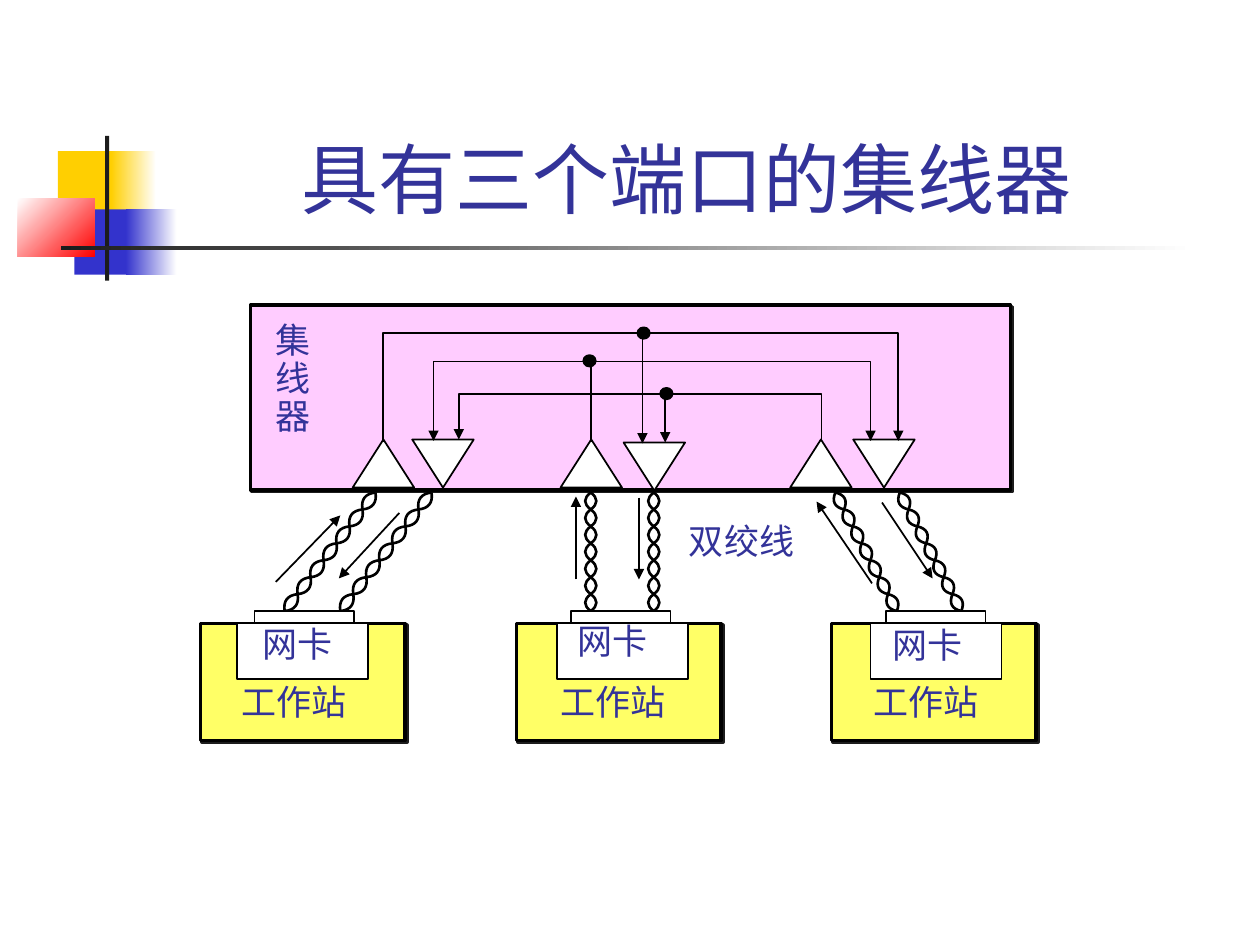
from math import hypot

from lxml.etree import SubElement
from pptx import Presentation
from pptx.dml.color import RGBColor
from pptx.enum.shapes import MSO_CONNECTOR, MSO_SHAPE
from pptx.enum.text import MSO_ANCHOR, MSO_AUTO_SIZE, PP_ALIGN
from pptx.oxml.ns import qn
from pptx.util import Cm, Pt

BLACK = RGBColor(0x00, 0x00, 0x00)
WHITE = RGBColor(0xFF, 0xFF, 0xFF)
DARK = RGBColor(0x1C, 0x1C, 0x1C)
GOLD = RGBColor(0xFF, 0xCF, 0x01)
BLUE = RGBColor(0x33, 0x33, 0xCC)
RED = RGBColor(0xFF, 0x00, 0x00)
NAVY = RGBColor(0x33, 0x33, 0x99)
PINK = RGBColor(0xFF, 0xCC, 0xFF)
YELLOW = RGBColor(0xFF, 0xFF, 0x66)

prs = Presentation()
prs.slide_width, prs.slide_height = Cm(25.4), Cm(19.05)
s = prs.slides.add_slide(prs.slide_layouts[5])


def add_shape(kind, x, y, w, h, fill, line=1, shadow=False):
    sp = s.shapes.add_shape(kind, Cm(x), Cm(y), Cm(w), Cm(h))
    sp.shadow.inherit = False
    sp.fill.solid()
    sp.fill.fore_color.rgb = fill
    if line:
        sp.line.color.rgb = BLACK
        sp.line.width = Pt(line)
    else:
        sp.line.fill.background()
    if shadow:
        effects = sp._element.spPr.find(qn("a:effectLst"))
        outer = SubElement(effects, qn("a:outerShdw"), blurRad="0", dist="17780",
                           dir="2700000", algn="ctr", rotWithShape="0")
        SubElement(outer, qn("a:srgbClr"), val=str(DARK))
    return sp


def add_label(text, x, y, w, h=1.09):
    tf = s.shapes.add_textbox(Cm(x), Cm(y), Cm(w), Cm(h)).text_frame
    tf.word_wrap = False
    tf.text = text
    for p in tf.paragraphs:
        for r in p.runs:
            r.font.size = Pt(20)
            r.font.name = "Times New Roman"
            r.font.color.rgb = NAVY
    return tf


for x, y, w, h, start, end, angle in [
    (1.17, 3.05, 1.22, 1.32, GOLD, None, 0),
    (2.24, 3.05, 0.91, 1.32, GOLD, WHITE, 0),
    (1.5, 4.22, 1.17, 1.32, BLUE, None, 0),
    (2.54, 4.22, 1.02, 1.32, BLUE, WHITE, 0),
    (0.36, 4.01, 1.55, 1.17, WHITE, RED, 315),
    (2.12, 2.74, 0.08, 2.92, DARK, None, 0),
    (1.23, 4.96, 22.86, 0.09, DARK, WHITE, 0),
]:
    sp = add_shape(MSO_SHAPE.RECTANGLE, x, y, w, h, start, line=0)
    if end is not None:
        sp.fill.gradient()
        sp.fill.gradient_angle = angle
        for stop, color in zip(sp.fill.gradient_stops, (start, end)):
            stop.color.rgb = color

title = s.shapes.title
title.left, title.top, title.width, title.height = Cm(3.2), Cm(0.58), Cm(21.64), Cm(4.06)
tf = title.text_frame
tf.text = "具有三个端口的集线器 "
tf.auto_size = MSO_AUTO_SIZE.NONE
tf.vertical_anchor = MSO_ANCHOR.BOTTOM
p = tf.paragraphs[0]
p.alignment = PP_ALIGN.CENTER
r = p.runs[0]
r.font.size = Pt(44)
r.font.name = "Arial"
r.font.color.rgb = NAVY

add_shape(MSO_SHAPE.RECTANGLE, 5.05, 6.15, 15.32, 3.73, PINK, 2, shadow=True)
for p in add_label("集\n线\n器", 5.31, 6.4, 1.22, 2.54).paragraphs:
    p.line_spacing = 0.9

for x, y, rotation in [
    (7.11, 8.86, 0), (11.3, 8.86, 0), (15.93, 8.86, 0),
    (8.31, 8.86, 180), (12.57, 8.92, 180), (17.2, 8.86, 180),
]:
    add_shape(MSO_SHAPE.ISOSCELES_TRIANGLE, x, y, 1.24, 0.97, WHITE).rotation = rotation

wires = [
    ([(16.56, 8.86), (16.56, 7.95), (9.25, 7.95), (9.25, 8.86)], False),
    ([(11.91, 8.92), (11.91, 7.29), (17.55, 7.29), (17.55, 8.89)], False),
    ([(11.91, 7.29), (8.74, 7.29), (8.74, 8.89)], False),
    ([(7.72, 8.92), (7.72, 6.71), (18.11, 6.71), (18.11, 8.89)], False),
]
TOP, BOTTOM, BULGE, HALF_TURNS = 9.93, 12.32, 0.15, 7
for x_bottom, x_top in [(5.74, 7.57), (6.86, 8.7), (11.91, 11.91),
                        (13.18, 13.18), (18.08, 16.84), (19.38, 18.14)]:
    dx, dy = x_top - x_bottom, TOP - BOTTOM
    length = hypot(dx, dy)
    for side in (BULGE, -BULGE):
        strand = []
        for i in range(3 * HALF_TURNS + 1):
            t = i / (3 * HALF_TURNS)
            offset = side * (-1) ** (i // 3) if i % 3 else 0
            strand.append((x_bottom + dx * t + offset * dy / length,
                           BOTTOM + dy * t - offset * dx / length))
        wires.append((strand, True))

for points, twisted in wires:
    points = [(Cm(x), Cm(y)) for x, y in points]
    builder = s.shapes.build_freeform(*points[0])
    builder.add_line_segments(points[1:], close=False)
    sp = builder.convert_to_shape()
    sp.shadow.inherit = False
    sp.fill.background()
    sp.line.color.rgb = BLACK
    sp.line.width = Pt(1.5 if twisted else 1)
    if twisted:
        outline = next(sp._element.iter(qn("a:path")))
        segments = outline.findall(qn("a:lnTo"))
        for i in range(0, len(segments), 3):
            curve = SubElement(outline, qn("a:cubicBezTo"))
            for segment in segments[i:i + 3]:
                curve.append(segment[0])
                outline.remove(segment)
    else:
        SubElement(sp._element.spPr.find(qn("a:ln")), qn("a:tailEnd"), type="triangle")

for x1, y1, x2, y2 in [
    (13.41, 7.98, 13.41, 8.92), (12.95, 6.76, 12.95, 8.94),
    (11.61, 11.68, 11.61, 10.01), (12.88, 10.03, 12.88, 11.68),
    (5.56, 11.73, 6.86, 10.39), (8.05, 10.34, 6.83, 11.66),
    (17.58, 11.76, 16.46, 10.11), (17.78, 10.13, 18.8, 11.66),
]:
    arrow = s.shapes.add_connector(MSO_CONNECTOR.STRAIGHT, Cm(x1), Cm(y1), Cm(x2), Cm(y2))
    arrow.line.color.rgb = BLACK
    arrow.line.width = Pt(1)
    spPr = arrow._element.spPr
    SubElement(spPr.find(qn("a:ln")), qn("a:tailEnd"), type="triangle")
    SubElement(spPr, qn("a:effectLst"))

for x, y in [(11.76, 7.16), (12.85, 6.6), (13.31, 7.82)]:
    add_shape(MSO_SHAPE.OVAL, x, y, 0.25, 0.23, BLACK)

add_label("双绞线", 13.64, 10.34, 2.62)

for station_x, card_x, card_label_x, card_label_y, name_x, plug_x in [
    (4.04, 4.78, 5.05, 12.42, 4.62, 5.13),
    (10.41, 11.23, 11.4, 12.37, 11.05, 11.51),
    (16.76, 17.55, 17.75, 12.45, 17.35, 17.86),
]:
    add_shape(MSO_SHAPE.RECTANGLE, station_x, 12.57, 4.13, 2.36, YELLOW, 2, shadow=True)
    add_shape(MSO_SHAPE.RECTANGLE, card_x, 12.57, 2.64, 1.12, WHITE)
    add_label("网卡", card_label_x, card_label_y, 1.93)
    add_label("工作站", name_x, 13.59, 2.62)
    add_shape(MSO_SHAPE.RECTANGLE, plug_x, 12.32, 2.01, 0.23, WHITE)

prs.save("out.pptx")
